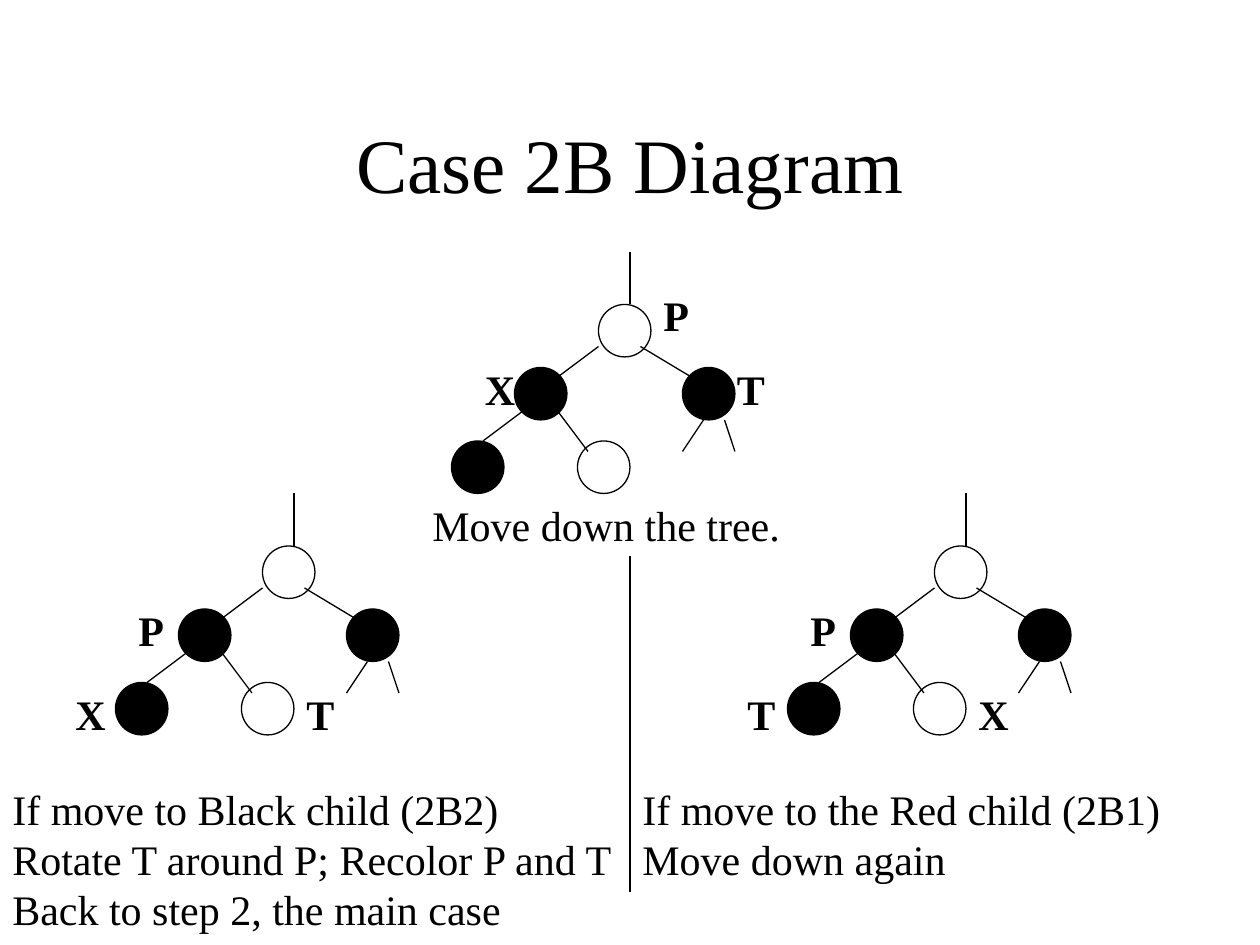
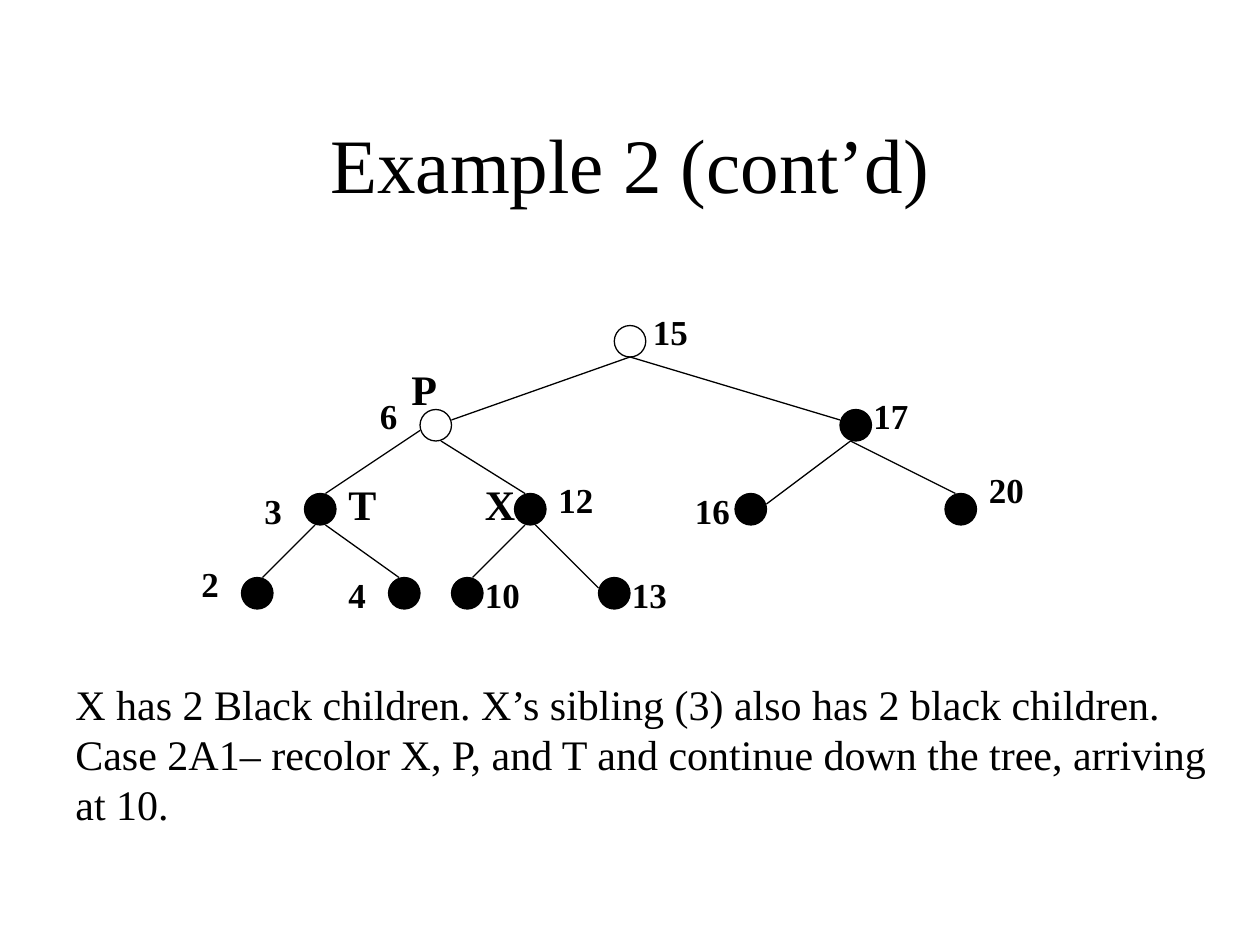
from dataclasses import dataclass
from typing import Optional

from lxml import etree
from pptx import Presentation
from pptx.dml.color import RGBColor
from pptx.enum import shapes, text
from pptx.oxml.ns import qn
from pptx.util import Inches, Length, Pt

BLACK = RGBColor(0x00, 0x00, 0x00)
WHITE = RGBColor(0xFF, 0xFF, 0xFF)
FONT = "Times New Roman"
LINE_WIDTH = Pt(0.75)
CELLS_PER_INCH = 12
TITLE_BOX = (9, 8, 102, 15)

Point = tuple[float, float]
Edge = tuple[Point, Point]


@dataclass(frozen=True)
class Node:
    left: float
    top: float
    fill: Optional[RGBColor] = BLACK


@dataclass(frozen=True)
class Label:
    words: str
    left: float
    top: float
    width: float = 6
    height: float = 6
    size: float = 24
    bold: bool = True


@dataclass(frozen=True)
class Tree:
    node_size: float
    nodes: list[Node]
    edges: list[Edge]


CASE_TREE = Tree(
    node_size=5,
    nodes=[Node(0, 0, WHITE), Node(-8, 6), Node(8, 6), Node(-14, 13), Node(-2, 13, WHITE)],
    edges=[
        ((3, 0), (3, -5)),
        ((0, 4), (-4, 7)),
        ((-7, 10), (-11, 13)),
        ((-1, 14), (-4, 10)),
        ((9, 7), (4, 4)),
        ((10, 11), (8, 14)),
        ((13, 14), (12, 11)),
    ],
)
# Each root position with the labels placed relative to it
CASE_STEPS: list[tuple[Point, list[Label]]] = [
    ((57, 29), [Label("P", 5, -2), Label("X", -12, 5), Label("T", 12, 5)]),
    ((25, 52), [Label("P", -13, 5), Label("X", -19, 13), Label("T", 3, 13)]),
    ((89, 52), [Label("P", -13, 5), Label("T", -19, 13), Label("X", 3, 13)]),
]
CASE_NOTES = [
    Label("Move down the tree.", 40, 47, 36, bold=False),
    Label(
        "If move to Black child (2B2)\nRotate T around P; Recolor P and T\n"
        "Back to step 2, the main case",
        0, 74, 60, 15.6, bold=False,
    ),
    Label("If move to the Red child (2B1) Move down again", 60, 74, 57, 10.8, bold=False),
]
CASE_DIVIDER: Edge = ((60, 53), (60, 85))

EXAMPLE_TREE = Tree(
    node_size=3,
    nodes=[
        Node(58.5, 31, None),
        Node(40, 39, None),
        Node(80, 39),
        *(Node(left, 47) for left in (29, 49, 70, 90)),
        *(Node(left, 55) for left in (23, 37, 43, 57)),
    ],
    edges=[
        ((60, 34), (43, 40)),
        ((60, 34), (80, 40)),
        ((40, 41), (31, 47)),
        ((42, 42), (50, 47)),
        ((81, 42), (73, 48)),
        ((81, 42), (91, 47)),
        ((30, 50), (25, 55)),
        ((31, 50), (38, 55)),
        ((50, 50), (45, 55)),
        ((51, 50), (57, 56)),
    ],
)
EXAMPLE_KEYS: dict[str, Point] = {
    "15": (61, 29), "6": (35, 37), "17": (82, 37),
    "3": (24, 46), "12": (52, 45), "16": (65, 46), "20": (93, 44),
    "2": (18, 53), "4": (32, 54), "10": (45, 54), "13": (59, 54),
}
EXAMPLE_LABELS = [
    *(Label(key, *place, height=5.3, size=20) for key, place in EXAMPLE_KEYS.items()),
    Label("X", 45, 45),
    Label("P", 38, 34),
    Label("T", 32, 45),
    Label(
        "X has 2 Black children. X’s sibling (3) also has 2 black children.\n"
        "Case 2A1– recolor X, P, and T and continue down the tree, arriving at 10.",
        6, 64, 111, 15.6, bold=False,
    ),
]


def grid(*cells: float) -> list[Length]:
    """Turn grid cells, twelve to the inch, into lengths."""
    return [Inches(cell / CELLS_PER_INCH) for cell in cells]


def format_runs(paragraph, size: float, bold: bool) -> None:
    formats = {"name": FONT, "size": Pt(size), "bold": bold}
    for run in paragraph.runs:
        for name, value in formats.items():
            setattr(run.font, name, value)
        run.font.color.rgb = BLACK


def add_titled_slide(presentation, words: str):
    slide = presentation.slides.add_slide(presentation.slide_layouts[5])
    title = slide.shapes.title
    title.left, title.top, title.width, title.height = grid(*TITLE_BOX)
    frame = title.text_frame
    frame.text = words
    frame.auto_size = text.MSO_AUTO_SIZE.NONE
    frame.vertical_anchor = text.MSO_ANCHOR.MIDDLE
    paragraph = frame.paragraphs[0]
    paragraph.alignment = text.PP_ALIGN.CENTER
    format_runs(paragraph, 44, False)
    return slide


def add_label(slide, label: Label, origin: Point = (0, 0)) -> None:
    left, top = origin[0] + label.left, origin[1] + label.top
    box = slide.shapes.add_textbox(*grid(left, top, label.width, label.height))
    frame = box.text_frame
    frame.word_wrap = True
    frame.auto_size = text.MSO_AUTO_SIZE.SHAPE_TO_FIT_TEXT
    paragraph = frame.paragraphs[0]
    paragraph.text = label.words
    paragraph.space_before = Pt(label.size * 0.625)
    format_runs(paragraph, label.size, label.bold)


def add_edge(slide, edge: Edge, origin: Point = (0, 0)) -> None:
    ends = [start + cell for point in edge for start, cell in zip(origin, point)]
    connector = slide.shapes.add_connector(shapes.MSO_CONNECTOR.STRAIGHT, *grid(*ends))
    connector.line.color.rgb = BLACK
    connector.line.width = LINE_WIDTH
    properties = connector._element.find(qn("p:spPr"))
    etree.SubElement(properties, qn("a:effectLst"))


def add_node(slide, node: Node, size: float, origin: Point) -> None:
    left, top = origin[0] + node.left, origin[1] + node.top
    circle = slide.shapes.add_shape(shapes.MSO_SHAPE.OVAL, *grid(left, top, size, size))
    circle.shadow.inherit = False
    if node.fill is None:
        circle.fill.background()
    else:
        circle.fill.solid()
        circle.fill.fore_color.rgb = node.fill
    circle.line.color.rgb = BLACK
    circle.line.width = LINE_WIDTH


def add_tree(slide, tree: Tree, origin: Point = (0, 0)) -> None:
    for node in tree.nodes:
        add_node(slide, node, tree.node_size, origin)
    for edge in tree.edges:
        add_edge(slide, edge, origin)


def build_case_slide(presentation) -> None:
    slide = add_titled_slide(presentation, "Case 2B Diagram")
    for root, labels in CASE_STEPS:
        add_tree(slide, CASE_TREE, root)
        for label in labels:
            add_label(slide, label, root)
    add_edge(slide, CASE_DIVIDER)
    for note in CASE_NOTES:
        add_label(slide, note)


def build_example_slide(presentation) -> None:
    slide = add_titled_slide(presentation, "Example 2 (cont’d)")
    add_tree(slide, EXAMPLE_TREE)
    for label in EXAMPLE_LABELS:
        add_label(slide, label)


def main() -> None:
    presentation = Presentation()
    presentation.slide_width = Inches(10)
    presentation.slide_height = Inches(7.5)
    build_case_slide(presentation)
    build_example_slide(presentation)
    presentation.save("out.pptx")


if __name__ == "__main__":
    main()
